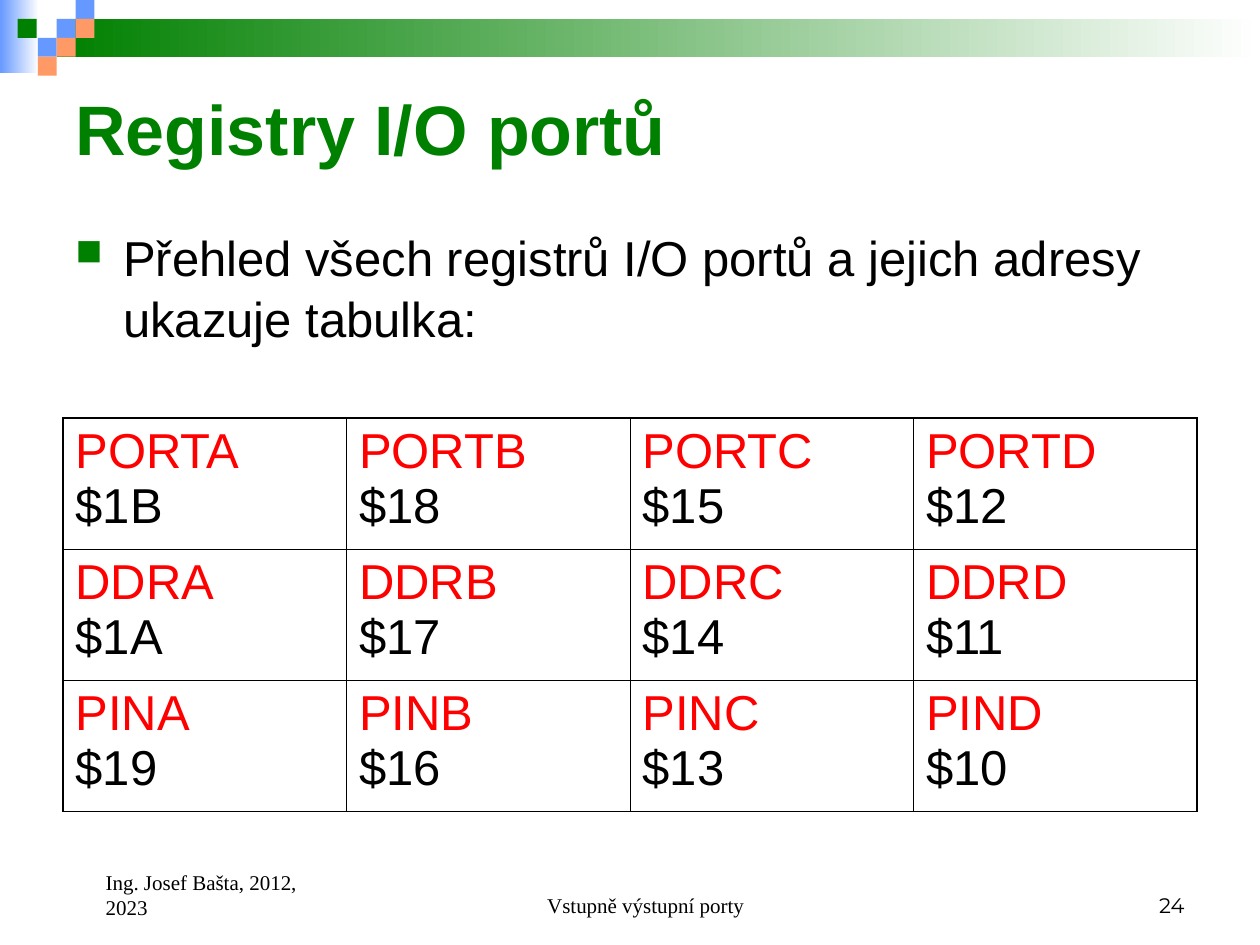
from pptx import Presentation
from pptx import util as u
from pptx.dml import color
from pptx.enum import shapes, text
from pptx.oxml import parse_xml
from pptx.oxml import ns

GREEN, BLUE, ORANGE = "008000", "6699FF", "FF9966"
BLACK, RED, WHITE = "000000", "FF0000", "FFFFFF"


def rgb(code):
    return color.RGBColor.from_string(code)


def label(box, words, size, face, ink, bold=False):
    """Add a wrapped one-paragraph text box and return its paragraph."""
    frame = slide.shapes.add_textbox(*map(u.Inches, box)).text_frame
    frame.word_wrap = True
    para = frame.paragraphs[0]
    para.text = words
    font = para.runs[0].font
    font.size, font.name, font.bold = u.Pt(size), face, bold
    font.color.rgb = rgb(ink)
    return frame, para


deck = Presentation()
deck.slide_width, deck.slide_height = u.Inches(10), u.Inches(7.5)
slide = deck.slides.add_slide(deck.slide_layouts[6])

# Header bands (fading to white) and small squares
side = 0.15
bands = [(0, 0, 0.31, 0.58, BLUE, True), (0.45, 0.15, 9.55, 0.3, GREEN, True)]
tiles = [(0.45, 0.15, BLUE), (0.6, 0, BLUE), (0.6, 0.15, ORANGE),
         (0.3, 0.3, BLUE), (0.14, 0.15, GREEN), (0.45, 0.3, ORANGE),
         (0.3, 0.45, ORANGE)]
for x, y, w, h, ink, fade in bands + [(x, y, side, side, c, False) for x, y, c in tiles]:
    rect = slide.shapes.add_shape(shapes.MSO_SHAPE.RECTANGLE,
                                  *map(u.Inches, (x, y, w, h)))
    rect.shadow.inherit = False
    rect.line.fill.background()
    if fade:
        rect.fill.gradient()
        rect.fill.gradient_angle = 0
        for stop, tint in zip(rect.fill.gradient_stops, (ink, WHITE)):
            stop.color.rgb = rgb(tint)
    else:
        rect.fill.solid()
        rect.fill.fore_color.rgb = rgb(ink)

# Title
frame, para = label((0.5, 0.5, 9, 1.03), "Registry I/O portů", 40, "Arial", GREEN, True)
frame.vertical_anchor = text.MSO_ANCHOR.MIDDLE

# Bulleted introduction
frame, para = label((0.5, 1.73, 9, 1.13),
                    "Přehled všech registrů I/O portů a jejich adresy ukazuje tabulka:",
                    28, "Arial", BLACK)
props = para._p.get_or_add_pPr()
props.set("marL", str(u.Inches(0.38)))
props.set("indent", str(u.Inches(-0.38)))
for tag in (f'<a:buClr {ns.nsdecls("a")}><a:srgbClr val="{GREEN}"/></a:buClr>',
            f'<a:buSzPct {ns.nsdecls("a")} val="75000"/>',
            f'<a:buChar {ns.nsdecls("a")} char="■"/>'):
    props.append(parse_xml(tag))
para.line_spacing = 1.05

# Register table: name above address
ports = "ABCD"
regs = [("PORT", ("$1B", "$18", "$15", "$12")),
        ("DDR", ("$1A", "$17", "$14", "$11")),
        ("PIN", ("$19", "$16", "$13", "$10"))]
rows, cols = len(regs), len(ports)
table = slide.shapes.add_table(rows, cols, *map(u.Inches, (0.5, 3.32, 9, 3.12))).table
table.first_row = table.horz_banding = False
for col in table.columns:
    col.width = u.Inches(2.25)
for r, (reg, codes) in enumerate(regs):
    table.rows[r].height = u.Inches(1.04)
    for c, code in enumerate(codes):
        cell = table.cell(r, c)
        para = cell.text_frame.paragraphs[0]
        para.text = f"{reg}{ports[c]}\v{code}"
        for run, ink in zip(para.runs, (RED, BLACK)):
            run.font.size, run.font.name = u.Pt(28), "Arial"
            run.font.color.rgb = rgb(ink)
        # Thick outer edges, thin inner lines
        props = cell._tc.get_or_add_tcPr()
        edges = {"L": c == 0, "R": c == cols - 1, "T": r == 0, "B": r == rows - 1}
        for edge, outer in edges.items():
            width = u.Pt(1.08 if outer else 0.45)
            props.append(parse_xml(
                f'<a:ln{edge} {ns.nsdecls("a")} w="{width}"><a:solidFill>'
                f'<a:srgbClr val="{BLACK}"/></a:solidFill></a:ln{edge}>'))
        cell.fill.background()

# Footer
side = text.PP_ALIGN
serif = "Times New Roman"
for box, words, face, align, left in [
        ((3.42, 6.83, 3.17, 0.5), "Vstupně výstupní porty", serif, side.CENTER, 0.24),
        ((7.17, 6.83, 2.33, 0.5), "24", "Montserrat", side.RIGHT, 0),
        ((0.5, 6.83, 2.33, 0.52), "Ing. Josef Bašta, 2012, 2023", serif, side.LEFT, 0.24)]:
    frame, para = label(box, words, 12, face, BLACK)
    frame.vertical_anchor = text.MSO_ANCHOR.BOTTOM
    para.alignment = align
    para._p.get_or_add_pPr().set("marL", str(u.Inches(left)))

deck.save("out.pptx")
